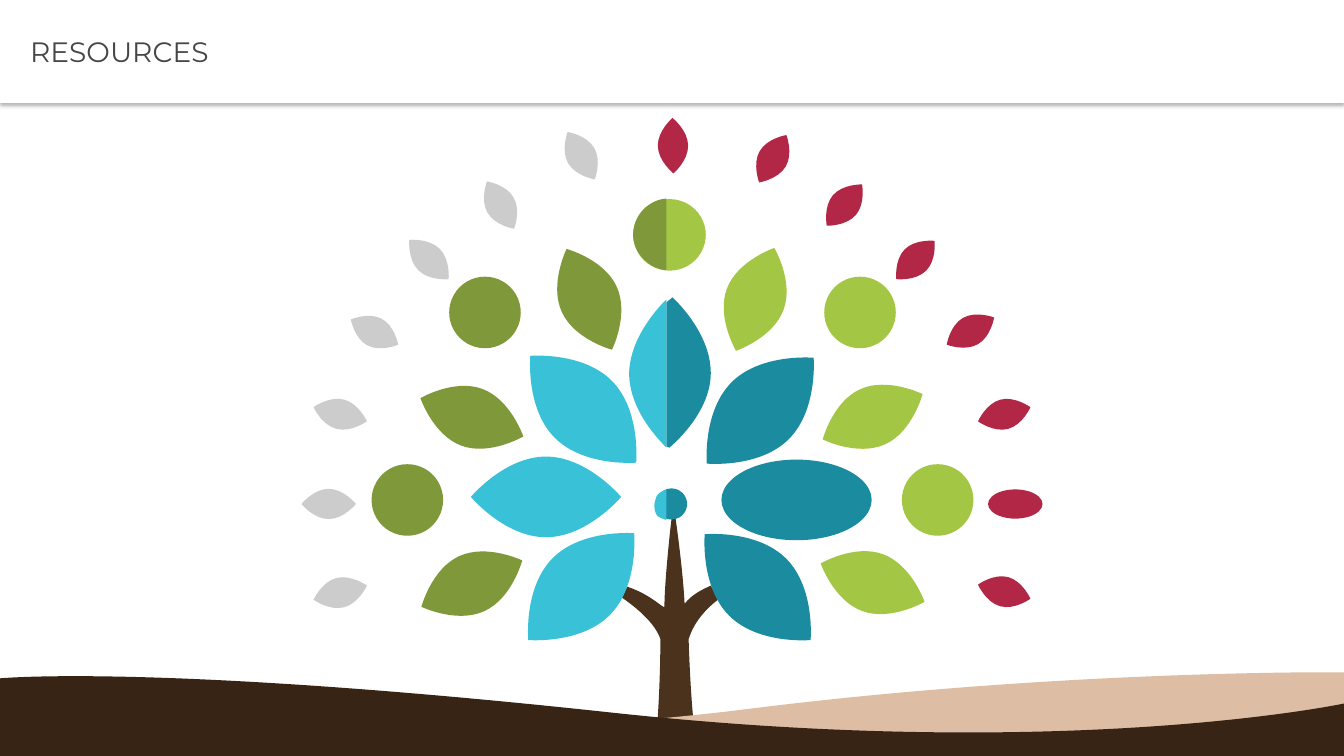
"""Build the RESOURCES slide: a stylised tree of leaves and circles on two hills."""
from math import hypot

from lxml import etree
from pptx import Presentation
from pptx.dml.color import RGBColor
from pptx.enum.shapes import MSO_SHAPE
from pptx.enum.text import MSO_ANCHOR, PP_ALIGN
from pptx.oxml.ns import qn
from pptx.util import Inches, Pt

OVAL, RECTANGLE = MSO_SHAPE.OVAL, MSO_SHAPE.RECTANGLE
MIDDLE, LEFT = MSO_ANCHOR.MIDDLE, PP_ALIGN.LEFT

THEME = {
    "font": "Montserrat", "title_size": 20, "title": "464547", "header": "FFFFFF",
    "shadow": "000000", "trunk": "4B321D", "soil": "372415", "sand": "DDBDA3",
    "teal": "1B8BA0", "sky": "39C2D7", "lime": "A3C644", "olive": "7F993A",
    "red": "B22746", "grey": "CCCCCC",
}
TITLE = "RESOURCES"
SLIDE_WIDTH, SLIDE_HEIGHT, HEADER_HEIGHT = 13.33, 7.5, 1.02

LEAVES = [
    ("sky", 0.4, [((5.26, 3.53), (6.31, 4.59)), ((4.67, 4.93), (6.16, 4.93)),
                  ((6.29, 5.29), (5.24, 6.35))]),
    ("teal", 0.4, [((7.01, 4.6), (8.07, 3.55)), ((6.99, 5.3), (8.04, 6.35))]),
    ("olive", 0.3, [((5.62, 2.47), (6.07, 3.47)), ((4.17, 3.95), (5.19, 4.33)),
                    ((4.18, 6.02), (5.18, 5.56))]),
    ("lime", 0.3, [((7.3, 3.48), (7.68, 2.46)), ((8.16, 4.36), (9.15, 3.91)),
                   ((8.14, 5.59), (9.17, 5.97))]),
    ("grey", 0.15, [((5.63, 1.31), (5.9, 1.78)), ((4.83, 1.8), (5.1, 2.27)),
                    ((4.06, 2.38), (4.45, 2.77)), ((3.48, 3.17), (3.95, 3.42)),
                    ((3.11, 4.04), (3.64, 4.18)), ((2.99, 5), (3.53, 5)),
                    ((3.11, 5.95), (3.64, 5.81))]),
    ("red", 0.15, [((6.67, 1.17), (6.68, 1.72)), ((7.8, 1.34), (7.53, 1.81)),
                   ((8.55, 1.83), (8.2, 2.24)), ((9.27, 2.39), (8.89, 2.77)),
                   ((9.86, 3.15), (9.39, 3.42)), ((9.7, 4.18), (10.22, 4.04)),
                   ((9.7, 5.8), (10.22, 5.94))]),
]
OVALS = [
    ("olive", (4.04, 4.96), (0.71, 0.71)), ("olive", (4.81, 3.1), (0.71, 0.71)),
    ("lime", (6.64, 2.33), (0.72, 0.71)), ("lime", (8.53, 3.1), (0.71, 0.71)),
    ("lime", (9.3, 4.96), (0.71, 0.71)), ("teal", (7.9, 4.96), (1.49, 0.8)),
    ("red", (10.07, 5), (0.54, 0.29)), ("teal", (6.66, 5), (0.31, 0.31)),
]
TRUNK = [
    ("trunk", (6.79, 5.99), [
        [(6.79, 5.99), (6.78, 5.71), (6.7, 5.14)], [(6.66, 5.15)],
        [(6.63, 5.4), (6.59, 5.83), (6.59, 6.02)],
        [(6.58, 6.04), (6.46, 5.9), (6.22, 5.82)], [(6.17, 5.93)],
        [(6.33, 6.04), (6.5, 6.19), (6.55, 6.34)],
        [(6.55, 6.34), (6.55, 7.27), (6.45, 7.71)],
        [(6.45, 7.71), (6.78, 7.62), (6.99, 7.73)],
        [(6.86, 7.52), (6.83, 6.34), (6.83, 6.34)],
        [(6.88, 6.18), (6.99, 6.05), (7.12, 5.95)], [(7.05, 5.81)],
        [(6.96, 5.85), (6.86, 5.9), (6.79, 5.99)]]),
]
HALVES_AND_HILLS = [
    ("teal", (6.61, 3), [
        [(6.67, 2.95)], [(6.67, 2.95), (7.05, 3.29), (7.05, 3.7)],
        [(7.05, 4.11), (6.64, 4.44), (6.64, 4.44)], [(6.61, 4.43)]]),
    ("sky", (6.61, 4.44), [
        [(6.61, 2.97)], [(6.54, 3.04), (6.25, 3.34), (6.24, 3.7)],
        [(6.24, 4.07), (6.54, 4.37), (6.61, 4.44)]]),
    ("olive", (6.61, 2.68), [
        [(6.61, 1.97)], [(6.44, 1.98), (6.28, 2.13), (6.28, 2.33)],
        [(6.28, 2.51), (6.44, 2.67), (6.61, 2.68)]]),
    ("sky", (6.61, 5.16), [
        [(6.61, 4.86)], [(6.61, 4.86), (6.56, 4.87), (6.53, 4.9)],
        [(6.5, 4.93), (6.5, 4.97), (6.49, 5)],
        [(6.49, 5.04), (6.49, 5.08), (6.52, 5.12)],
        [(6.55, 5.14), (6.61, 5.16), (6.61, 5.16)]]),
    ("sand", (13.33, 6.67), [
        [(13.33, 6.67), (10.57, 6.64), (7.45, 7.03)],
        [(4.32, 7.43), (0, 7.25), (0, 7.25)], [(0, 7.5)], [(13.33, 7.5)]]),
    ("soil", (0, 6.73), [
        [(0, 6.73), (1.54, 6.58), (6.07, 7.07)],
        [(10.6, 7.56), (13.33, 6.98), (13.33, 6.98)], [(13.33, 7.5)], [(0, 7.5)]]),
]
LEAF_ROUNDNESS = 0.55


def paint(shape, color):
    shape.shadow.inherit = False
    shape.fill.solid()
    shape.fill.fore_color.rgb = RGBColor.from_string(THEME[color])
    shape.line.fill.background()
    return shape


def add_outline(shapes, color, start, edges):
    builder = shapes.build_freeform(Inches(start[0]), Inches(start[1]))
    builder.add_line_segments(
        [(Inches(x), Inches(y)) for edge in edges for x, y in edge], close=True)
    shape = paint(builder.convert_to_shape(), color)
    segments = iter(list(shape.element.iter(qn("a:lnTo"))))
    for edge in edges:
        lines = [next(segments) for _ in edge]
        if len(lines) == 3:
            curve = etree.Element(qn("a:cubicBezTo"))
            lines[0].addprevious(curve)
            for line in lines:
                curve.append(line[0])
                line.getparent().remove(line)


def add_leaf(shapes, color, half_width, tip, end):
    half_x, half_y = (end[0] - tip[0]) / 2, (end[1] - tip[1]) / 2
    ratio = half_width / hypot(half_x, half_y)

    def place(along, across):
        return (tip[0] + half_x * (1 + along) - half_y * ratio * across,
                tip[1] + half_y * (1 + along) + half_x * ratio * across)

    bend = LEAF_ROUNDNESS
    add_outline(shapes, color, tip, [
        [tip, place(-bend, 1), place(0, 1)], [place(bend, 1), end, end],
        [end, place(bend, -1), place(0, -1)], [place(-bend, -1), tip, tip]])


def add_oval(shapes, color, center, size):
    left, top = (middle - length / 2 for middle, length in zip(center, size))
    paint(shapes.add_shape(OVAL, *map(Inches, (left, top, *size))), color)


def write_text(shape, text, *, size, color, align=LEFT, anchor=MIDDLE, margins):
    frame = shape.text_frame
    frame.word_wrap = True
    frame.vertical_anchor = anchor
    frame.margin_left, frame.margin_top, frame.margin_right, frame.margin_bottom = map(
        Inches, margins)
    paragraph = frame.paragraphs[0]
    paragraph.alignment = align
    run = paragraph.add_run()
    run.text = text
    run.font.name, run.font.size = THEME["font"], Pt(size)
    run.font.color.rgb = RGBColor.from_string(THEME[color])


def add_shadow(shape, blur, distance, opacity):
    effects = shape.element.spPr.find(qn("a:effectLst"))
    shadow = etree.SubElement(effects, qn("a:outerShdw"), blurRad=str(Pt(blur)),
                              dist=str(Pt(distance)), dir="5400000", rotWithShape="0")
    color = etree.SubElement(shadow, qn("a:srgbClr"), val=THEME["shadow"])
    etree.SubElement(color, qn("a:alpha"), val=str(opacity * 1000))


def main():
    presentation = Presentation()
    presentation.slide_width, presentation.slide_height = Inches(SLIDE_WIDTH), Inches(SLIDE_HEIGHT)
    slide = presentation.slides.add_slide(presentation.slide_layouts[6])

    tree = slide.shapes.add_group_shape().shapes
    for outline in TRUNK:
        add_outline(tree, *outline)
    for color, half_width, leaves in LEAVES:
        for tip, end in leaves:
            add_leaf(tree, color, half_width, tip, end)
    for oval in OVALS:
        add_oval(tree, *oval)
    for outline in HALVES_AND_HILLS:
        add_outline(tree, *outline)

    header = paint(slide.shapes.add_shape(
        RECTANGLE, 0, 0, Inches(SLIDE_WIDTH), Inches(HEADER_HEIGHT)), "header")
    add_shadow(header, blur=3.1, distance=2, opacity=30)
    write_text(header, TITLE, size=THEME["title_size"], color="title",
               margins=(0.3, 0.04, 0.07, 0.04))
    presentation.save("out.pptx")


if __name__ == "__main__":
    main()
